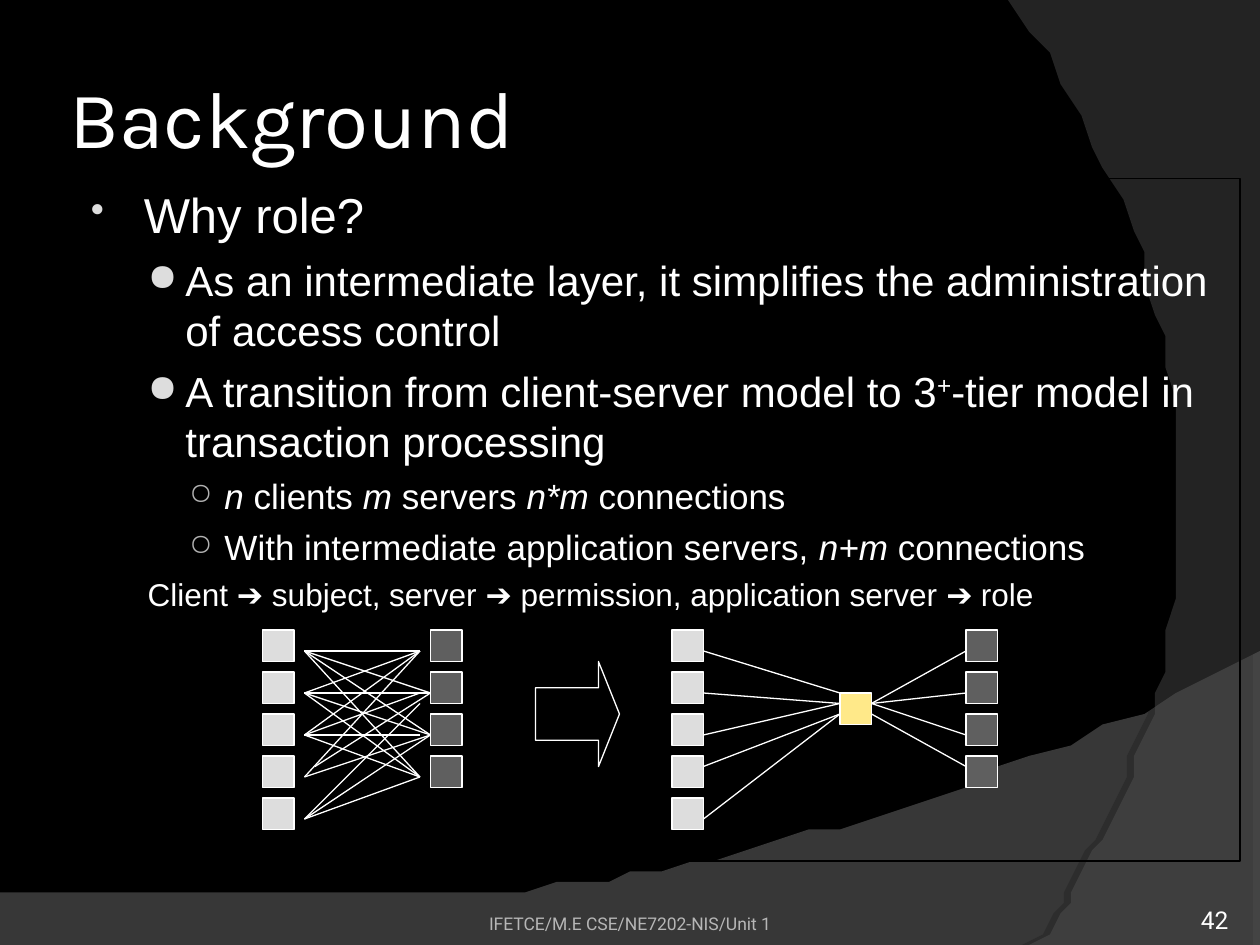
from lxml.etree import SubElement
from pptx import Presentation
from pptx.dml.color import RGBColor
from pptx.enum.shapes import MSO_CONNECTOR as Connector, MSO_SHAPE as Shape
from pptx.enum.text import MSO_ANCHOR as Anchor, PP_ALIGN as Align
from pptx.oxml.ns import qn
from pptx.util import Inches, Pt

CELL = Inches(1) / 12
COLUMNS, ROWS = 120, 90
WHITE, PALE, DARK, YELLOW = "FFFFFF", "DDDDDD", "5F5F5F", "FFE989"
color = RGBColor.from_string


def grid(*cells):
    return [round(cell * CELL) for cell in cells]


def paint(shape, fill=None, line=None):
    shape.shadow.inherit = False
    if fill:
        shape.fill.solid()
        shape.fill.fore_color.rgb = color(fill)
    else:
        shape.fill.background()
    if line:
        shape.line.color.rgb = color(line)
        shape.line.width = Pt(0.75)
    else:
        shape.line.fill.background()


deck = Presentation()
deck.slide_width, deck.slide_height = grid(COLUMNS, ROWS)
slide = deck.slides.add_slide(deck.slide_layouts[6])
slide.background.fill.solid()
slide.background.fill.fore_color.rgb = color("000000")
shapes = slide.shapes

waves = [
    ([(0, 84.6), (0, 90.1), (120, 90.1), (120, 62.4)],
     [(67.1, 87.5), (46.9, 86.3), (0, 84.6)], "7C7C7C", 45, 35, 3.5, 270),
    ([(120, 0.2), (120, 90), (98.5, 90)],
     [(112.2, 74.3), (122.2, 36), (96, 0)], "595959", 40, 45, 4, 180),
]
STEPS = 40
for corners, bend, tone, opacity, shade, distance, direction in waves:
    controls = [corners[-1], *bend]
    arc = []
    for step in range(1, STEPS + 1):
        t = step / STEPS
        weights = [(1 - t) ** 3, 3 * t * (1 - t) ** 2, 3 * t * t * (1 - t), t ** 3]
        arc.append([sum(w * p[axis] for w, p in zip(weights, controls)) for axis in (0, 1)])
    outline = shapes.build_freeform(*corners[0], scale=CELL)
    outline.add_line_segments(corners[1:] + arc, close=True)
    wave = outline.convert_to_shape()
    paint(wave, tone)
    properties = wave.element.spPr
    SubElement(properties.find(".//" + qn("a:srgbClr")), qn("a:alpha"), val=str(opacity * 1000))
    shadow = SubElement(properties.find(qn("a:effectLst")), qn("a:outerShdw"), blurRad="0",
                        dist=str(Pt(distance)), dir=str(direction * 60000),
                        algn="ctr", rotWithShape="0")
    shadow_color = SubElement(shadow, qn("a:srgbClr"), val="000000")
    SubElement(shadow_color, qn("a:alpha"), val=str(shade * 1000))

labels = [
    ("Background", (6, 3.6, 98, 15), "Karla", 46, WHITE, Align.LEFT, Anchor.MIDDLE, (0.6,) * 4),
    ("42", (107, 84.2, 10, 4.8), "Roboto", 14, WHITE, Align.RIGHT, Anchor.BOTTOM, (0,) * 4),
    ("IFETCE/M.E CSE/NE7202-NIS/Unit 1", (41, 84.2, 38, 4.8), "Roboto", 10, "B6B6B6",
     Align.CENTER, Anchor.BOTTOM, (0, 0.6, 0, 0)),
]
for words, area, face, size, tone, align, anchor, insets in labels:
    frame = shapes.add_textbox(*grid(*area)).text_frame
    frame.word_wrap = True
    frame.vertical_anchor = anchor
    (frame.margin_left, frame.margin_top,
     frame.margin_right, frame.margin_bottom) = grid(*insets)
    frame.text = words
    paragraph = frame.paragraphs[0]
    paragraph.alignment = align
    font = paragraph.runs[0].font
    font.name, font.size, font.color.rgb = face, Pt(size), color(tone)

body = shapes.add_shape(Shape.RECTANGLE, *grid(7, 17, 111.1, 65))
paint(body, line="000000")
body.text_frame.word_wrap = True
body.text_frame.vertical_anchor = Anchor.TOP

# level: indent level, left margin, hanging indent, size, space before, bullet, bullet colour, bullet percent
""
styles = {
    "topic": (0, 0.46, 0.42, 28, 0, "•", PALE, 80),
    "point": (1, 0.79, 0.3, 24, 6, "●", PALE, 90),
    "detail": (2, 1.1, 0.28, 20, 5, "○", "B2B2B2", 85),
    "mapping": (1, 0.79, 0.3, 18, 4.5, None, None, None),
}
outline_text = [
    ("topic", [("Why role?", "")]),
    ("point", [("As an intermediate layer, it simplifies the administration of access control", "")]),
    ("point", [("A transition from client-server model to 3", ""), ("+", "super"),
               ("-tier model in transaction processing", "")]),
    ("detail", [("n", "italic"), (" clients ", ""), ("m", "italic"), (" servers ", ""),
                ("n*m", "italic"), (" connections", "")]),
    ("detail", [("With intermediate application servers, ", ""), ("n+m", "italic"),
                (" connections", "")]),
    ("mapping", [("Client ➔ subject, server ➔ permission, application server ➔ role", "")]),
]
for index, (role, pieces) in enumerate(outline_text):
    level, margin, hanging, size, before, bullet, bullet_tone, percent = styles[role]
    frame = body.text_frame
    paragraph = frame.add_paragraph() if index else frame.paragraphs[0]
    paragraph.level = level
    paragraph.alignment = Align.LEFT
    paragraph.space_before = Pt(before)
    settings = paragraph._p.get_or_add_pPr()
    settings.set("marL", str(Inches(margin)))
    settings.set("indent", str(-Inches(hanging)))
    if bullet:
        SubElement(SubElement(settings, qn("a:buClr")), qn("a:srgbClr"), val=bullet_tone)
        SubElement(settings, qn("a:buSzPct"), val=str(percent * 1000))
        SubElement(settings, qn("a:buChar"), char=bullet)
    else:
        SubElement(settings, qn("a:buNone"))
    for words, accent in pieces:
        run = paragraph.add_run()
        run.text = words
        run.font.name, run.font.size = "Arial", Pt(size)
        run.font.color.rgb = color(WHITE)
        if accent == "italic":
            run.font.italic = True
        elif accent == "super":
            run.font._element.set("baseline", "30000")

nodes = [(column, 60 + 4 * row, tone)
         for column, count, tone in [(25, 5, PALE), (41, 4, DARK), (64, 5, PALE), (92, 4, DARK)]
         for row in range(count)]
nodes.append((80, 66, YELLOW))
for column, row, tone in nodes:
    paint(shapes.add_shape(Shape.RECTANGLE, *grid(column, row, 3, 3)), tone, WHITE)

links = {
    (29, 62): [(40, 62), (41, 66), (41, 70), (40, 74)],
    (29, 66): [(40, 62), (41, 66), (41, 70), (40, 74)],
    (29, 70): [(40, 62), (40, 66), (40, 70), (40, 74)],
    (29, 74): [(40, 62), (41, 70)],
    (30, 73): [(41, 66)],
    (29, 78): [(40, 67), (41, 70), (40, 74)],
    (67, 62): [(80, 66)],
    (67, 66): [(80, 67)],
    (67, 70): [(80, 67)],
    (67, 73): [(80, 68)],
    (67, 78): [(80, 68)],
    (83, 67): [(92, 62), (92, 66), (92, 70)],
    (83, 68): [(92, 73)],
}
for start, ends in links.items():
    for end in ends:
        link = shapes.add_connector(Connector.STRAIGHT, *grid(*start, *end))
        link.line.color.rgb = color(WHITE)
        link.line.width = Pt(0.75)
        SubElement(link.element.spPr, qn("a:effectLst"))

change = shapes.add_shape(Shape.RIGHT_ARROW, *grid(51, 63, 8, 10))
change.adjustments[0], change.adjustments[1] = 0.5, 0.25
paint(change, line=WHITE)

deck.save("out.pptx")
